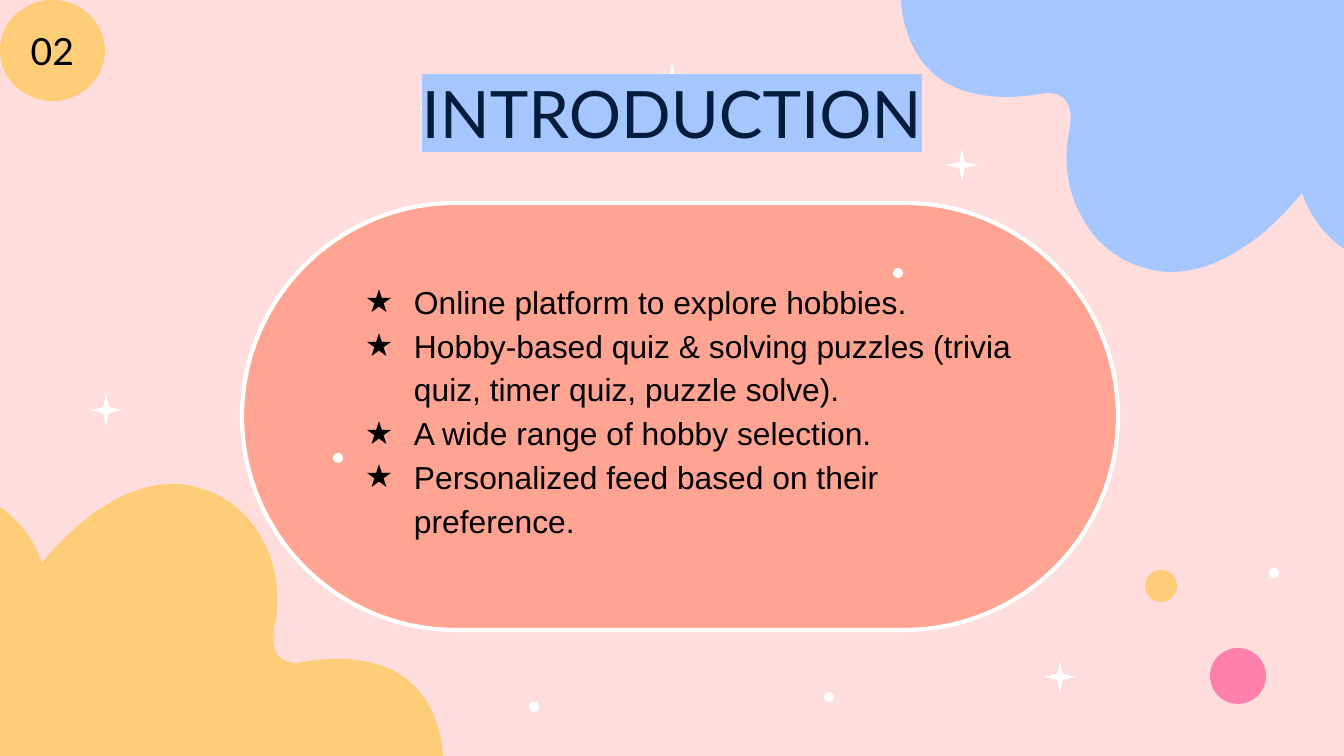
from lxml.etree import SubElement
from pptx import Presentation
from pptx.dml.color import RGBColor
from pptx.enum.shapes import MSO_SHAPE as Shape
from pptx.enum.text import MSO_ANCHOR as Anchor, MSO_AUTO_SIZE as AutoSize, PP_ALIGN as Align
from pptx.oxml.ns import qn
from pptx.util import Pt

PX = 914400 / 134.4  # EMU per px
WIDTH, HEIGHT = 1344, 756
WHITE, BLACK, NAVY = "FFFFFF", "000000", "021C3D"
ROSE, CORAL, PINK = "FFDDDD", "FFA393", "FF7FAD"
BLUE, YELLOW = "A5C6FF", "FFCC77"

CLOUD_SIZE = 443, 272
CLOUD_START = 173, 0
# Each entry is a line (one point) or a Bézier curve (two controls and an end).
CLOUD = [
    [(181, 0), (190, 1), (199, 4)],
    [(226, 11), (249, 30), (262, 55)],
    [(276, 79), (280, 108), (276, 134)],
    [(273, 149), (270, 167), (282, 175)],
    [(286, 178), (292, 179), (296, 179)],
    [(300, 179), (305, 178), (309, 177)],
    [(319, 176), (328, 175), (337, 175)],
    [(368, 175), (399, 183), (419, 207)],
    [(433, 223), (442, 249), (443, 272)],
    [(0, 272)],
    [(0, 23)],
    [(19, 36), (34, 56), (42, 79)],
    [(62, 55), (83, 34), (110, 19)],
    [(129, 7), (152, 0), (173, 0)],
]

STAR_SIZE, DOT_SIZE = 32, 10
BACK_STARS = [(1044, 661), (90, 394), (656, 63)]
BACK_DOTS = [(1269, 568), (529, 702), (824, 692), (421, 103)]
FRONT_STARS = [(946, 149)]
FRONT_DOTS = [(893, 268), (333, 453)]
POINTS = [
    "Online platform to explore hobbies.",
    "Hobby-based quiz & solving puzzles (trivia quiz, timer quiz, puzzle solve).",
    "A wide range of hobby selection.",
    "Personalized feed based on their preference.",
]


def emu(px):
    return round(px * PX)


def rgb(color):
    return RGBColor.from_string(color)


def paint(shape, color):
    shape.shadow.inherit = False
    shape.fill.solid()
    shape.fill.fore_color.rgb = rgb(color)
    shape.line.fill.background()


def add_solid(slide, kind, box, color):
    solid = slide.shapes.add_shape(kind, *map(emu, box))
    paint(solid, color)
    return solid


def place(placeholder, box):
    """Move a placeholder to the box and in front of what is drawn so far."""
    placeholder.left, placeholder.top, placeholder.width, placeholder.height = map(emu, box)
    element = placeholder._element
    element.getparent().append(element)


def set_frame(frame, anchor, top=13):
    frame.word_wrap = True
    frame.auto_size = AutoSize.NONE
    frame.vertical_anchor = anchor
    frame.margin_left = frame.margin_right = frame.margin_bottom = emu(13)
    frame.margin_top = emu(top)


def add_run(paragraph, text, size, font, color):
    run = paragraph.add_run()
    run.text = text
    run.font.size = Pt(size)
    run.font.name = font
    run.font.color.rgb = rgb(color)
    return run


def highlight(run, color):
    fill = run.font._element.find(qn("a:solidFill"))
    mark = SubElement(run.font._element, qn("a:highlight"))
    SubElement(mark, qn("a:srgbClr"), val=color)
    fill.addnext(mark)


def star_bullet(paragraph, margin, hanging):
    props = paragraph._p.get_or_add_pPr()
    props.set("marL", str(emu(margin)))
    props.set("indent", str(-emu(hanging)))
    color = SubElement(props, qn("a:buClr"))
    SubElement(color, qn("a:srgbClr"), val=BLACK)
    SubElement(props, qn("a:buChar"), char="★")


def bend(line, points):
    """Turn a straight segment of an outline into a Bézier curve."""
    curve = line.makeelement(qn("a:cubicBezTo"))
    for x, y in points:
        SubElement(curve, qn("a:pt"), x=str(x), y=str(y))
    line.getparent().replace(line, curve)


def add_cloud(slide, left, top, color, turned=False):
    """Draw the corner cloud, or the same cloud turned half round."""
    width, height = CLOUD_SIZE

    def turn(point):
        x, y = point
        return (width - x, height - y) if turned else point

    segments = [[turn(point) for point in segment] for segment in CLOUD]
    builder = slide.shapes.build_freeform(*turn(CLOUD_START), scale=PX)
    builder.add_line_segments([segment[-1] for segment in segments], close=True)
    cloud = builder.convert_to_shape(emu(left), emu(top))
    lines = list(cloud._element.iter(qn("a:lnTo")))
    for line, segment in zip(lines, segments):
        if len(segment) == 3:
            bend(line, segment)
    paint(cloud, color)


def add_sparkles(slide, stars, dots):
    for left, top in stars:
        star = add_solid(slide, Shape.STAR_4_POINT, (left, top, STAR_SIZE, STAR_SIZE), WHITE)
        star.adjustments[0] = 0.125
    for left, top in dots:
        add_solid(slide, Shape.OVAL, (left, top, DOT_SIZE, DOT_SIZE), WHITE)


def add_title(slide, box):
    title = slide.shapes.title
    place(title, box)
    set_frame(title.text_frame, Anchor.MIDDLE)
    heading = title.text_frame.paragraphs[0]
    heading.alignment = Align.CENTER
    highlight(add_run(heading, "INTRODUCTION", 35, "Lato", NAVY), BLUE)


def add_points(slide, box):
    """Draw the pill and the starred list inside it."""
    left, top, width, height = box
    pill = add_solid(slide, Shape.ROUNDED_RECTANGLE, box, CORAL)
    pill.adjustments[0] = 0.5
    pill.line.color.rgb = rgb(WHITE)
    pill.line.width = Pt(2.25)

    body = slide.placeholders[1]
    place(body, (left + 92, top + 50, width - 173, height - 8))
    frame = body.text_frame
    set_frame(frame, Anchor.TOP, top=24)
    for index, point in enumerate(POINTS):
        item = frame.add_paragraph() if index else frame.paragraphs[0]
        item.alignment = Align.LEFT
        item.line_spacing = 1.15
        item.space_before = Pt(0)
        star_bullet(item, 67, 49)
        add_run(item, point, 17, "Arial", BLACK)


def add_number(slide, box):
    badge = add_solid(slide, Shape.OVAL, box, YELLOW)
    set_frame(badge.text_frame, Anchor.MIDDLE)
    number = badge.text_frame.paragraphs[0]
    number.alignment = Align.CENTER
    add_run(number, "02", 20, "Lato", BLACK)


def main():
    deck = Presentation()
    deck.slide_width, deck.slide_height = emu(WIDTH), emu(HEIGHT)
    slide = deck.slides.add_slide(deck.slide_layouts[0])
    slide.background.fill.solid()
    slide.background.fill.fore_color.rgb = rgb(ROSE)

    cloud_width, cloud_height = CLOUD_SIZE
    add_sparkles(slide, BACK_STARS, BACK_DOTS)
    add_cloud(slide, WIDTH - cloud_width, 0, BLUE, turned=True)
    add_cloud(slide, 0, HEIGHT - cloud_height, YELLOW)
    add_points(slide, (242, 203, 876, 427))
    add_title(slide, (184, 43, 976, 138))
    add_solid(slide, Shape.OVAL, (1210, 648, 56, 56), PINK)
    add_solid(slide, Shape.OVAL, (1145, 570, 32, 32), YELLOW)
    add_sparkles(slide, FRONT_STARS, FRONT_DOTS)
    add_number(slide, (0, 0, 105, 101))
    deck.save("out.pptx")


if __name__ == "__main__":
    main()
